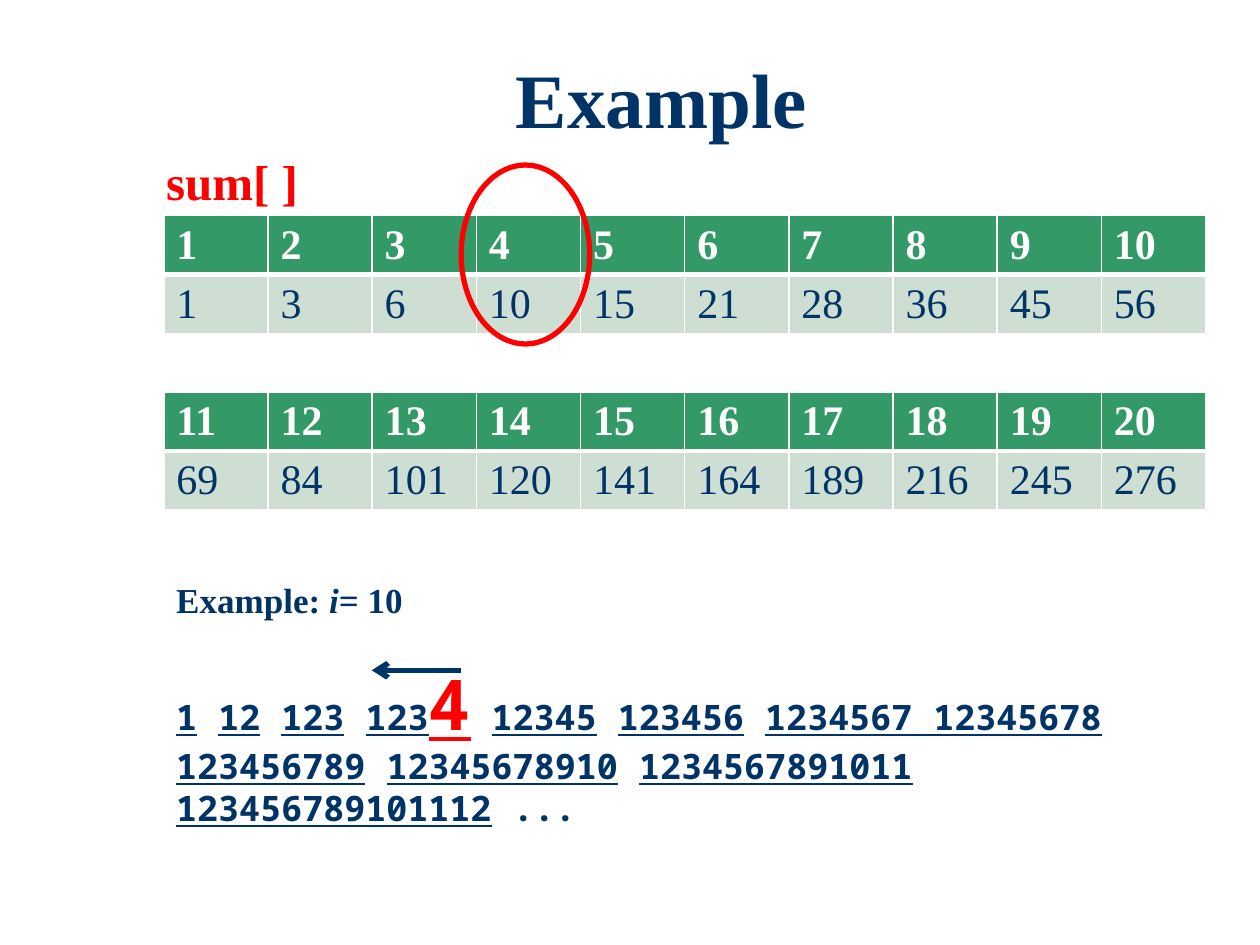
from lxml import etree
from pptx import Presentation
from pptx.dml.color import RGBColor
from pptx.enum.shapes import MSO_CONNECTOR, MSO_SHAPE
from pptx.enum.text import MSO_ANCHOR, MSO_AUTO_SIZE, PP_ALIGN
from pptx.oxml.ns import qn
from pptx.util import Inches, Pt

LINE = MSO_CONNECTOR.STRAIGHT
OVAL = MSO_SHAPE.OVAL
MIDDLE = MSO_ANCHOR.MIDDLE
NONE, GROW = MSO_AUTO_SIZE.NONE, MSO_AUTO_SIZE.SHAPE_TO_FIT_TEXT
CENTER = PP_ALIGN.CENTER
SERIF, MONO = "Times New Roman", "Noto Sans Mono"
COLORS = {"navy": "003366", "red": "FF0000", "green": "339966",
          "pale": "CEDED3", "white": "FFFFFF"}


class Deck:
    """Holds the style and the current slide, and draws each kind of element."""

    def __init__(self):
        self.prs = Presentation()
        self.prs.slide_width, self.prs.slide_height = Inches(10), Inches(7.5)
        self.slide = self.prs.slides.add_slide(self.prs.slide_layouts[5])
        self.shapes = self.slide.shapes

    def color(self, name):
        return RGBColor.from_string(COLORS[name])

    def style(self, font, size, color="navy", bold=True, face=SERIF,
              italic=False, under=False):
        font.name, font.size, font.bold = face, Pt(size), bold
        font.italic, font.underline = italic, under
        font.color.rgb = self.color(color)

    def title(self, text, *box):
        title = self.shapes.title
        title.left, title.top, title.width, title.height = map(Inches, box)
        frame = title.text_frame
        frame.text = text
        frame.auto_size, frame.vertical_anchor = NONE, MIDDLE
        par = frame.paragraphs[0]
        par.alignment, par.line_spacing = CENTER, 0.9
        self.style(par.runs[0].font, 44)

    def text(self, lines, *box, gap=0):
        frame = self.shapes.add_textbox(*map(Inches, box)).text_frame
        frame.word_wrap, frame.auto_size = False, GROW
        for i, line in enumerate(lines):
            par = frame.add_paragraph() if i else frame.paragraphs[0]
            if i == 1:
                par.space_before = Pt(gap)
            for text, look in line:
                run = par.add_run()
                run.text = text
                self.style(run.font, **look)

    def border(self, cell, **widths):
        props = cell._tc.get_or_add_tcPr()
        for side in "LRTB":
            width = str(Pt(widths.get(side, 1)))
            line = etree.SubElement(props, qn("a:ln" + side), w=width)
            fill = etree.SubElement(line, qn("a:solidFill"))
            etree.SubElement(fill, qn("a:srgbClr"), val=COLORS["white"])

    def table(self, rows, *box):
        table = self.shapes.add_table(len(rows), len(rows[0]), *map(Inches, box)).table
        looks = [("green", "white", True, {"B": 3}), ("pale", "navy", False, {"T": 3})]
        for r, (row, look) in enumerate(zip(rows, looks)):
            fill, ink, bold, edge = look
            for c, value in enumerate(row):
                cell = table.cell(r, c)
                cell.text = str(value)
                self.style(cell.text_frame.paragraphs[0].runs[0].font, 24, ink, bold)
                self.border(cell, **edge)
                cell.fill.solid()
                cell.fill.fore_color.rgb = self.color(fill)

    def arrow(self, *ends):
        arrow = self.shapes.add_connector(LINE, *map(Inches, ends))
        arrow.line.color.rgb, arrow.line.width = self.color("navy"), Pt(3)
        etree.SubElement(arrow.line._get_or_add_ln(), qn("a:tailEnd"), type="arrow")
        etree.SubElement(arrow._element.spPr, qn("a:effectLst"))

    def ring(self, *box):
        ring = self.shapes.add_shape(OVAL, *map(Inches, box))
        ring.shadow.inherit = False
        ring.fill.background()
        ring.line.color.rgb, ring.line.width = self.color("red"), Pt(3)


def main():
    deck = Deck()
    deck.title("Example", 1.25, 0.36, 8, 0.92)

    sums = [1, 3, 6, 10, 15, 21, 28, 36, 45, 56,
            69, 84, 101, 120, 141, 164, 189, 216, 245, 276]
    for i, top in enumerate((1.71, 3.11)):
        first = 10 * i
        rows = [range(first + 1, first + 11), sums[first:first + 10]]
        deck.table(rows, 1.3, top, 8.27, 0.81)

    deck.text([[("sum[ ]", {"size": 28, "color": "red"})]], 1.22, 1.15, 1.26, 0.57)

    head = {"size": 20}
    plain = {"size": 20, "face": MONO}
    under = {**plain, "under": True}
    big = {**under, "size": 40, "color": "red"}
    lines = [[("Example: ", head), ("i", {**head, "italic": True}), ("= 10", head)]]
    words = [["1", "12", "123", "1234", "12345", "123456", "1234567 12345678"],
             ["123456789", "12345678910", "1234567891011"],
             ["123456789101112"]]
    for group in words:
        line = []
        for word in group:
            if word == "1234":
                line += [(word[:3], under), (word[3], big)]
            else:
                line.append((word, under))
            line.append((" ", plain))
        lines.append(line)
    lines[-1][-1] = (" ...", plain)
    deck.text(lines, 1.3, 4.54, 7.78, 2.52, gap=23)

    deck.arrow(3.66, 5.32, 2.95, 5.32)
    deck.ring(3.66, 1.31, 1.02, 1.42)
    deck.prs.save("out.pptx")


if __name__ == "__main__":
    main()
